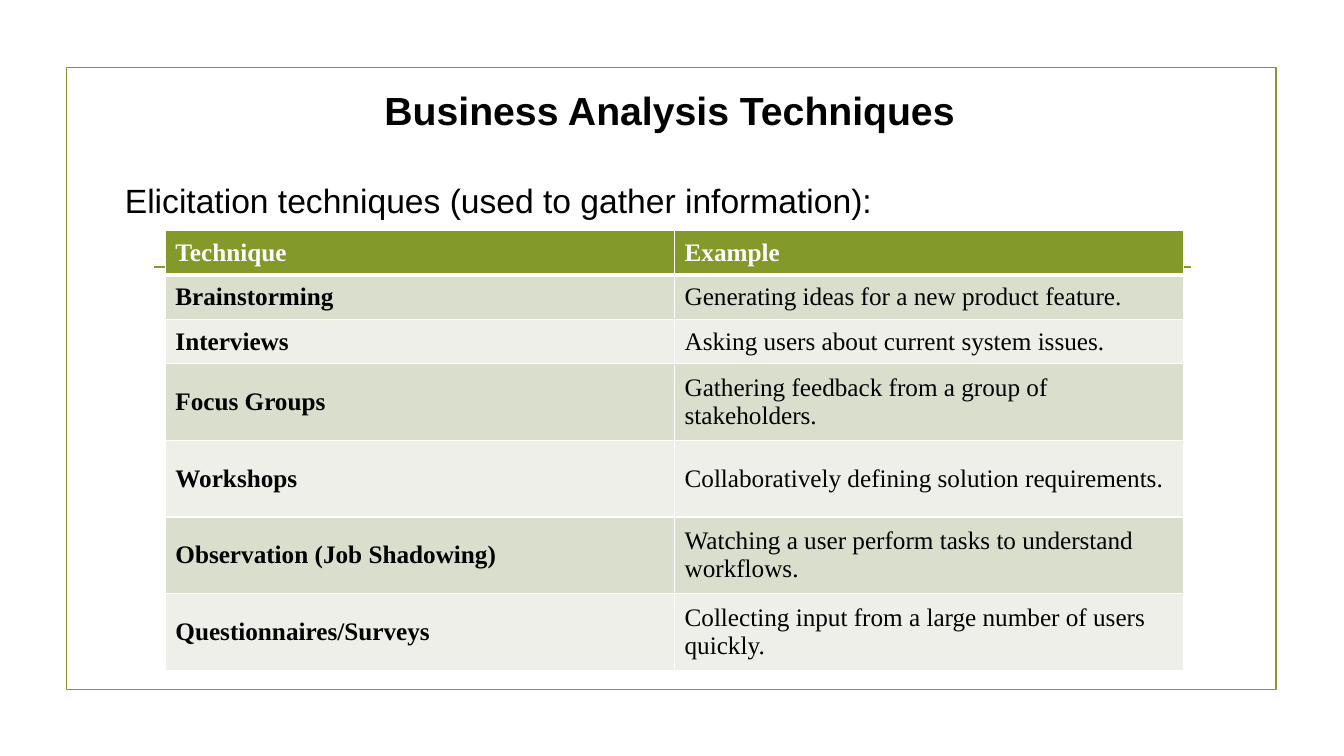
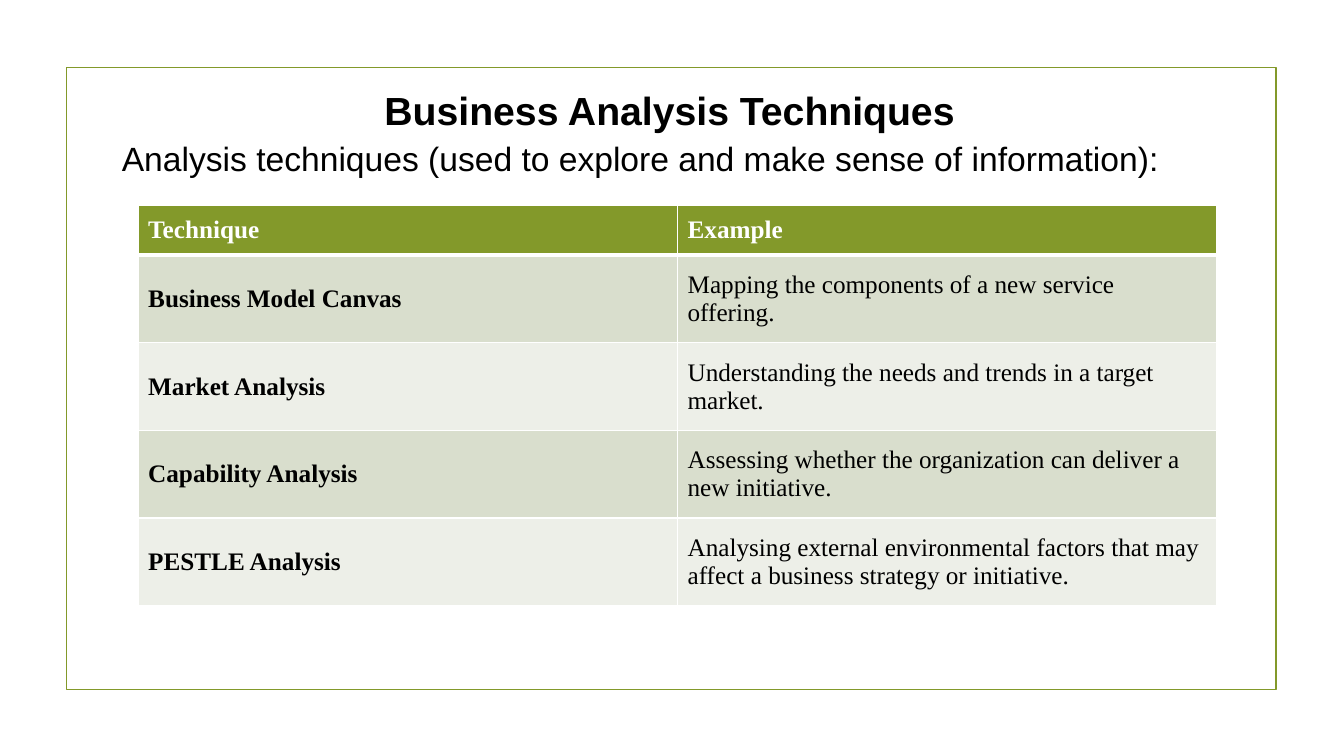
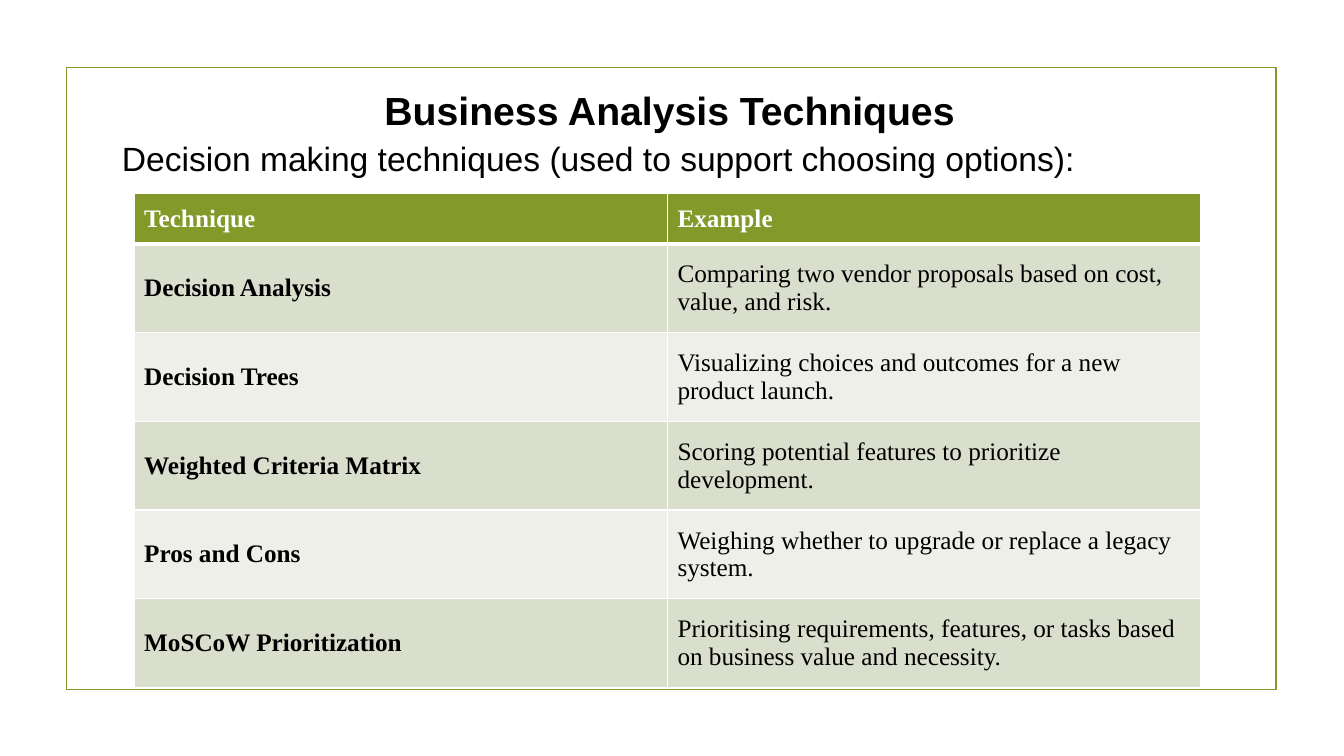
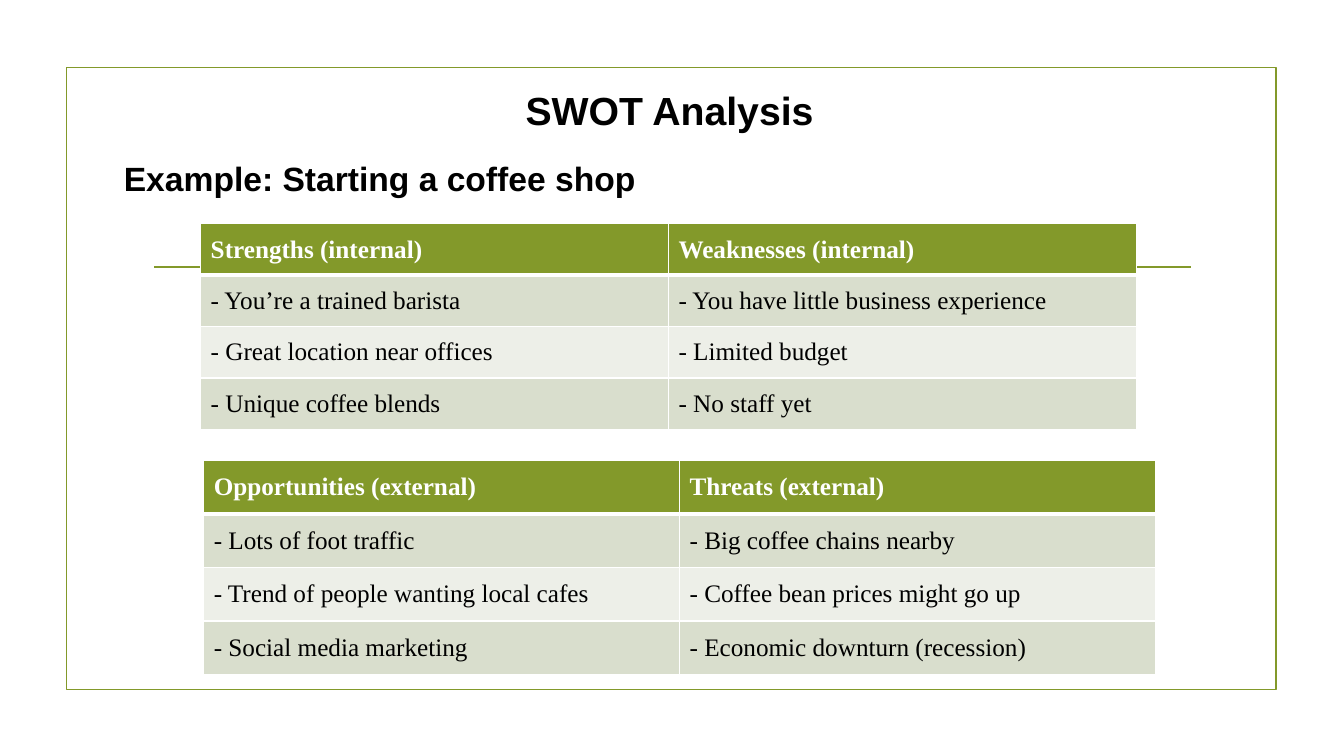
from lxml import etree
from pptx import Presentation
from pptx.dml.color import RGBColor
from pptx.enum import shapes, text
from pptx.oxml.ns import qn
from pptx.util import Inches, Pt

COLORS = {"green": "83992A", "band_dark": "D9DECD", "band_light": "EDEFE8",
          "white": "FFFFFF", "black": "000000"}
HEADING_FONT, TABLE_FONT = "Arial", "Times New Roman"
TECHNIQUE_HEADER = ("Technique", "Example")

# Content: tables give left, top, column width, row heights and rows
SLIDES = [
    {"title": "Business Analysis Techniques",
     "subtitle": "Elicitation techniques (used to gather information):",
     "subtitle_at": (1.14, 1.74),
     "tables": [
         {"at": (1.64, 2.29), "column": 5.05, "heights": [0.44] * 3 + [0.76] * 4,
          "bold_first": True, "rows": [
              TECHNIQUE_HEADER,
              ("Brainstorming", "Generating ideas for a new product feature."),
              ("Interviews", "Asking users about current system issues."),
              ("Focus Groups", "Gathering feedback from a group of stakeholders."),
              ("Workshops", "Collaboratively defining solution requirements."),
              ("Observation (Job Shadowing)",
               "Watching a user perform tasks to understand workflows."),
              ("Questionnaires/Surveys",
               "Collecting input from a large number of users quickly.")]}]},
    {"title": "Business Analysis Techniques",
     "subtitle": "Analysis techniques (used to explore and make sense of information):",
     "subtitle_at": (1.11, 1.32),
     "tables": [
         {"at": (1.37, 2.04), "column": 5.35, "heights": [0.49] + [0.87] * 4,
          "bold_first": True, "rows": [
              TECHNIQUE_HEADER,
              ("Business Model Canvas",
               "Mapping the components of a new service offering."),
              ("Market Analysis",
               "Understanding the needs and trends in a target market."),
              ("Capability Analysis",
               "Assessing whether the organization can deliver a new initiative."),
              ("PESTLE Analysis",
               "Analysing external environmental factors that may affect "
               "a business strategy or initiative.")]}]},
    {"title": "Business Analysis Techniques",
     "subtitle": "Decision making techniques (used to support choosing options):",
     "subtitle_at": (1.11, 1.32),
     "tables": [
         {"at": (1.33, 1.92), "column": 5.29, "heights": [0.5] + [0.88] * 5,
          "bold_first": True, "rows": [
              TECHNIQUE_HEADER,
              ("Decision Analysis",
               "Comparing two vendor proposals based on cost, value, and risk."),
              ("Decision Trees",
               "Visualizing choices and outcomes for a new product launch."),
              ("Weighted Criteria Matrix",
               "Scoring potential features to prioritize development."),
              ("Pros and Cons",
               "Weighing whether to upgrade or replace a legacy system."),
              ("MoSCoW Prioritization",
               "Prioritising requirements, features, or tasks based on "
               "business value and necessity.")]}]},
    {"title": "SWOT Analysis",
     "subtitle": "Example: Starting a coffee shop",
     "subtitle_at": (1.13, 1.52), "subtitle_bold": True,
     "tables": [
         {"at": (1.99, 2.22), "column": 4.64, "heights": [0.51] * 4, "rows": [
             ("Strengths (internal)", "Weaknesses (internal)"),
             ("- You’re a trained barista", "- You have little business experience"),
             ("- Great location near offices", "- Limited budget"),
             ("- Unique coffee blends", "- No staff yet")]},
         {"at": (2.02, 4.57), "column": 4.72, "heights": [0.53] * 4, "rows": [
             ("Opportunities (external)", "Threats (external)"),
             ("- Lots of foot traffic", "- Big coffee chains nearby"),
             ("- Trend of people wanting local cafes",
              "- Coffee bean prices might go up"),
             ("- Social media marketing", "- Economic downturn (recession)")]}]},
]


def color(name):
    return RGBColor.from_string(COLORS[name])


def add_run(paragraph, words, size, font, color_name="black", bold=False):
    run = paragraph.add_run()
    run.text = words
    run.font.size, run.font.name, run.font.bold = Pt(size), font, bold
    run.font.color.rgb = color(color_name)


def decorate_layout(layout, slide):
    """Draw the frame and rule on a slide, then move them to its layout."""
    frame = slide.shapes.add_shape(shapes.MSO_SHAPE.RECTANGLE, Inches(0.66),
                                   Inches(0.67), Inches(12), Inches(6.17))
    frame.shadow.inherit = False
    frame.fill.background()
    rule = slide.shapes.add_connector(shapes.MSO_CONNECTOR.STRAIGHT, Inches(1.53),
                                      Inches(2.65), Inches(11.81), Inches(2.65))
    for shape in (frame, rule):
        shape.line.color.rgb = color("green")
        shape.line.width = Pt(1.25)
        layout.shapes.element.append(shape.element)
    etree.SubElement(rule.element.spPr, qn("a:effectLst"))


def add_title(slide, words):
    title = slide.shapes.title
    title.left, title.top = Inches(0.72), Inches(0.83)
    title.width, title.height = Inches(11.84), Inches(0.51)
    frame = title.text_frame
    frame.vertical_anchor = text.MSO_ANCHOR.MIDDLE
    paragraph = frame.paragraphs[0]
    paragraph.alignment = text.PP_ALIGN.CENTER
    add_run(paragraph, words, 28, HEADING_FONT, bold=True)


def add_subtitle(slide, words, position, bold):
    left, top = position
    box = slide.shapes.add_textbox(Inches(left), Inches(top), Inches(10.89), Inches(0.5))
    box.text_frame.word_wrap = True
    add_run(box.text_frame.paragraphs[0], words, 24, HEADING_FONT, bold=bold)


def set_borders(cell, bottom_width, top_width):
    properties = cell._tc.get_or_add_tcPr()
    widths = {"a:lnL": 1, "a:lnR": 1, "a:lnT": top_width, "a:lnB": bottom_width}
    for tag, width in widths.items():
        line = etree.SubElement(properties, qn(tag), w=str(Pt(width)))
        fill = etree.SubElement(line, qn("a:solidFill"))
        etree.SubElement(fill, qn("a:srgbClr"), val=COLORS["white"])


def add_table(slide, content):
    rows, heights, column = content["rows"], content["heights"], content["column"]
    left, top = content["at"]
    table = slide.shapes.add_table(len(rows), 2, Inches(left), Inches(top),
                                   Inches(2 * column), Inches(sum(heights))).table
    for table_column in table.columns:
        table_column.width = Inches(column)
    for row_index, (row, height) in enumerate(zip(rows, heights)):
        table.rows[row_index].height = Inches(height)
        header = row_index == 0
        band = "green" if header else "band_dark" if row_index % 2 else "band_light"
        for column_index, words in enumerate(row):
            cell = table.cell(row_index, column_index)
            set_borders(cell, bottom_width=3 if header else 1,
                        top_width=3 if row_index == 1 else 1)
            cell.fill.solid()
            cell.fill.fore_color.rgb = color(band)
            cell.vertical_anchor = text.MSO_ANCHOR.MIDDLE
            first_bold = content.get("bold_first", False) and column_index == 0
            add_run(cell.text_frame.paragraphs[0], words, 18, TABLE_FONT,
                    "white" if header else "black", header or first_bold)


def main():
    presentation = Presentation()
    presentation.slide_width, presentation.slide_height = Inches(13.33), Inches(7.5)
    layout = presentation.slide_layouts[5]
    for index, content in enumerate(SLIDES):
        slide = presentation.slides.add_slide(layout)
        if index == 0:
            decorate_layout(layout, slide)
        add_title(slide, content["title"])
        add_subtitle(slide, content["subtitle"], content["subtitle_at"],
                     content.get("subtitle_bold", False))
        for table in content["tables"]:
            add_table(slide, table)
    presentation.save("out.pptx")


if __name__ == "__main__":
    main()
